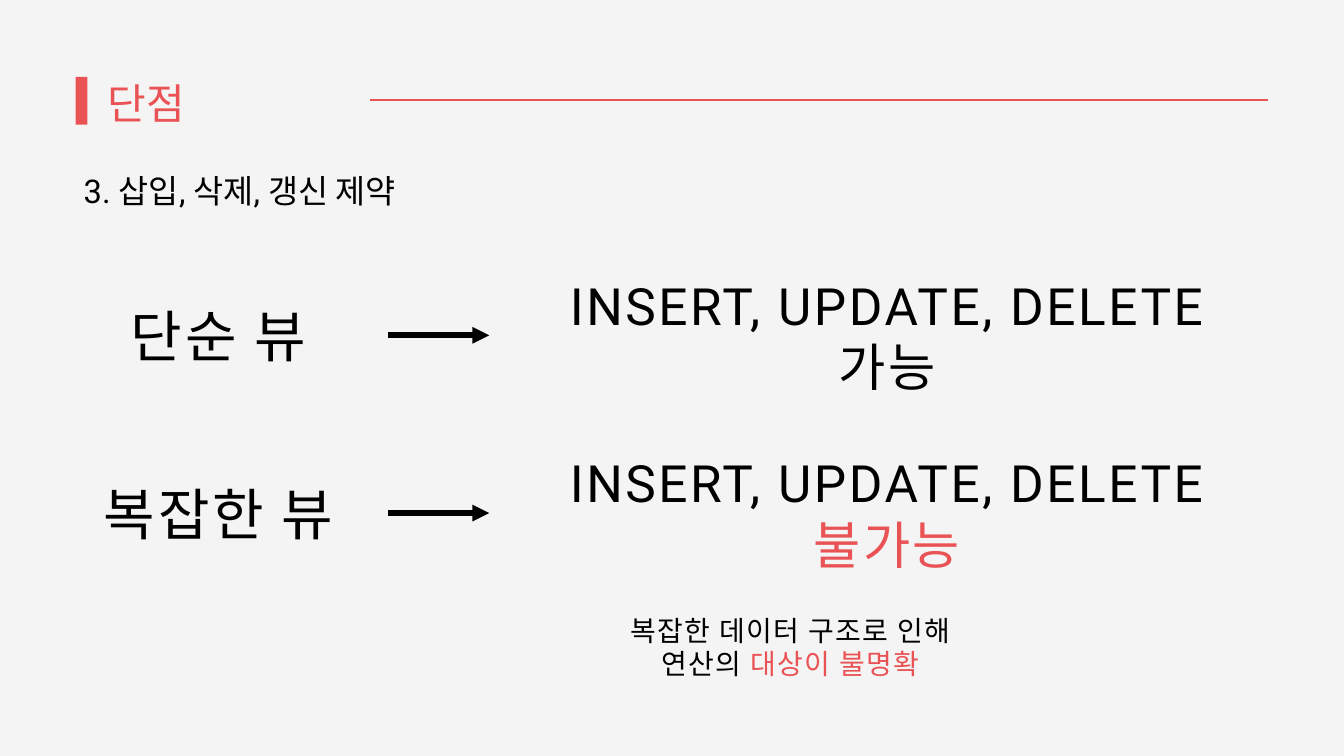
from pptx import Presentation
from pptx import util as u
from pptx.dml.color import RGBColor
from pptx.enum import shapes, text
from pptx.oxml.ns import qn
from lxml import etree

PX = 9525  # EMU per px: the slide is 1920 x 1080 px
FONT = "Roboto"
RED = RGBColor(0xEA, 0x53, 0x55)
BLACK = RGBColor(0, 0, 0)
BACKGROUND = RGBColor(0xF4, 0xF4, 0xF4)

COMMANDS = [("INSERT, UPDATE, DELETE", BLACK)]
ROWS = [
    ("단순 뷰", 257, [("가능", BLACK)]),
    ("복잡한 뷰", 335, [("불가능", RED)]),
]
ROWS_TOP, ROW_PITCH = 391, 254


def px(*lengths):
    return [u.Emu(length * PX) for length in lengths]


def write_text(slide, box, lines, size, leading, holder=None,
               align=text.PP_ALIGN.LEFT, tracking=0):
    """Each line is a list of (wording, colour) runs."""
    shape = holder or slide.shapes.add_textbox(*px(*box))
    shape.left, shape.top, shape.width, shape.height = px(*box)
    frame = shape.text_frame
    frame.margin_left = frame.margin_top = 0
    frame.margin_right = frame.margin_bottom = 0
    frame.word_wrap = True
    frame.vertical_anchor = text.MSO_ANCHOR.TOP
    frame.auto_size = text.MSO_AUTO_SIZE.SHAPE_TO_FIT_TEXT
    for index, line in enumerate(lines):
        paragraph = frame.add_paragraph() if index else frame.paragraphs[0]
        paragraph.alignment = align
        paragraph.line_spacing = u.Pt(leading)
        paragraph.space_before = paragraph.space_after = u.Pt(0)
        for wording, colour in line:
            run = paragraph.add_run()
            run.text = wording
            run.font.name = FONT
            run.font.size = u.Pt(size)
            run.font.color.rgb = colour
            if tracking:
                run.font._element.set("spc", str(round(tracking * 100)))
    return shape


def draw_line(slide, left, right, y, colour, width, arrow=False):
    line = slide.shapes.add_connector(
        shapes.MSO_CONNECTOR.STRAIGHT, *px(left, y, right, y))
    line.line.color.rgb = colour
    line.line.width = u.Pt(width)
    if arrow:
        etree.SubElement(line.line._get_or_add_ln(), qn("a:tailEnd"), type="triangle")
    etree.SubElement(line._element.spPr, qn("a:effectLst"))


def add_header(slide, left, top):
    # Accent bar, title and rule
    bar = slide.shapes.add_shape(
        shapes.MSO_SHAPE.RECTANGLE, *px(left, top, 17, 68))
    bar.shadow.inherit = False
    bar.fill.solid()
    bar.fill.fore_color.rgb = RED
    bar.line.fill.background()
    write_text(slide, (left + 46, top - 6, 506, 76), [[("단점", RED)]],
               45, 58.5, holder=slide.shapes.title)
    draw_line(slide, left + 421, left + 1704, top + 33, RED, 1.5)


def add_topic(slide, left, top):
    # Numbered topic without the template's bullet
    body = write_text(slide, (left, top, 790, 59),
                      [[(" 3. 삽입, 삭제, 갱신 제약", BLACK)]],
                      35, 45.5, holder=slide.placeholders[1])
    properties = body.text_frame.paragraphs[0]._p.get_or_add_pPr()
    properties.set("marL", "0")
    properties.set("indent", "0")
    etree.SubElement(properties, qn("a:buNone"))


def add_view_row(slide, top, label, label_width, verdict):
    # View type, arrow and what it allows
    center = text.PP_ALIGN.CENTER
    write_text(slide, (312 - label_width // 2, top + 40, label_width, 96),
               [[(label, BLACK)]], 60, 72, align=center, tracking=3)
    draw_line(slide, 555, 699, top + 88, BLACK, 6, arrow=True)
    write_text(slide, (802, top, 930, 176), [COMMANDS, verdict],
               55, 66, align=center, tracking=2.8)


def add_reason(slide, left, top):
    # Why the complex view is restricted
    write_text(slide, (left, top, 555, 96),
               [[("복잡한 데이터 구조로 인해", BLACK)],
                [("연산의 ", BLACK), ("대상이 불명확", RED)]],
               30, 36, align=text.PP_ALIGN.CENTER, tracking=1.5)


def main():
    presentation = Presentation()
    presentation.slide_width, presentation.slide_height = px(1920, 1080)
    slide = presentation.slides.add_slide(presentation.slide_layouts[1])
    slide.background.fill.solid()
    slide.background.fill.fore_color.rgb = BACKGROUND

    add_header(slide, 108, 110)
    add_topic(slide, 108, 240)
    for index, row in enumerate(ROWS):
        add_view_row(slide, ROWS_TOP + index * ROW_PITCH, *row)
    add_reason(slide, 852, 876)
    presentation.save("out.pptx")


if __name__ == "__main__":
    main()
